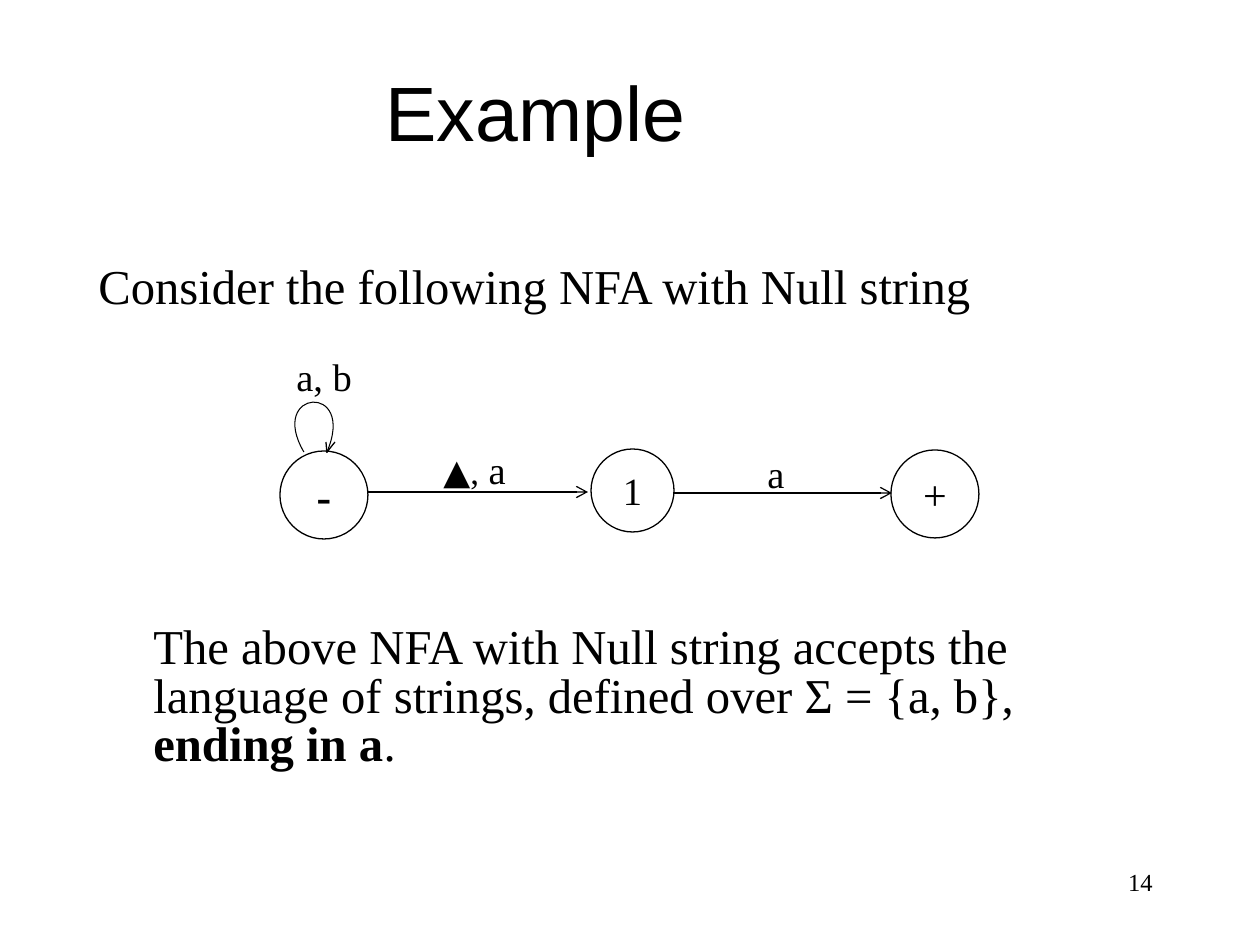
import pptx
import pptx.util
import pptx.oxml
import pptx.oxml.ns
import pptx.dml.color
import pptx.enum.shapes
import pptx.enum.text
import lxml.etree

PX = 914400 / 126
INK = {"black": "000000", "white": "FFFFFF"}
SERIF = "Times New Roman"
black = pptx.dml.color.RGBColor.from_string(INK["black"])
white = pptx.dml.color.RGBColor.from_string(INK["white"])
qn = pptx.oxml.ns.qn
Pt = pptx.util.Pt
ALIGN = pptx.enum.text.PP_ALIGN
MIDDLE = pptx.enum.text.MSO_ANCHOR.MIDDLE

deck = pptx.Presentation()
deck.slide_width, deck.slide_height = round(1260 * PX), round(945 * PX)
slide = deck.slides.add_slide(deck.slide_layouts[6])
shapes = slide.shapes


def write(para, runs, size, face=SERIF, align=ALIGN.LEFT):
    """Fill a paragraph with runs that share one font."""
    para.alignment = align
    for text in runs:
        para.add_run().text = text
    para.font.size, para.font.name = Pt(size), face
    para.font.color.rgb = black


def draw(x1, y1, x2, y2, arrow=False):
    """Draw a thin straight line, with an open arrowhead if asked."""
    ends = [round(n * PX) for n in (x1, y1, x2, y2)]
    line = shapes.add_connector(pptx.enum.shapes.MSO_CONNECTOR.STRAIGHT, *ends)
    line.line.color.rgb, line.line.width = black, Pt(0.75)
    if arrow:
        lxml.etree.SubElement(line.line._get_or_add_ln(), qn("a:tailEnd"), type="arrow")
    lxml.etree.SubElement(line._element.spPr, qn("a:effectLst"))


# Title, page number and edge labels
labels = [
    (0, 32, 1071, 158, ["Example"], 44, "Arial", ALIGN.CENTER),
    (903, 861, 262, 63, ["14"], 14, SERIF, ALIGN.RIGHT),
    (284, 347, 123, 84, ["a, b"], 22, SERIF, ALIGN.LEFT),
    (431, 440, 147, 60, ["▲", ",", " a"], 22, SERIF, ALIGN.LEFT),
    (755, 444, 52, 50, ["a"], 22, SERIF, ALIGN.LEFT),
]
for x, y, w, h, runs, size, face, align in labels:
    box = shapes.add_textbox(*[round(n * PX) for n in (x, y, w, h)])
    frame = box.text_frame
    frame.word_wrap = True
    write(frame.paragraphs[0], runs, size, face, align)
    if face == "Arial":
        frame.vertical_anchor = MIDDLE
    if runs[0] == "▲":
        mark, comma = frame.paragraphs[0].runs[:2]
        mark.font.name = "Cambria"
        mark.font.size = comma.font.size = Pt(20)

# Body text above and below the diagram
body = shapes.add_textbox(*[round(n * PX) for n in (39, 260, 1110, 574)]).text_frame
body.word_wrap = True
intro, result = body.paragraphs[0], body.add_paragraph()
texts = [
    (intro, 47, ["Consider the following NFA with Null string"]),
    (result, 102, ["The above NFA with Null string accepts the language of strings, "
                   "defined over Σ = {a, b}, ", "ending in a", "."]),
]
for para, indent, runs in texts:
    para._p.get_or_add_pPr().set("marL", str(round(indent * PX)))
    para.line_spacing = 0.83
    write(para, runs, 27.8)
result.space_before = Pt(178)
result.runs[1].font.bold = True

# States
states = [(280, 451, 88, "-", 25), (591, 449, 83, "1", 22), (891, 450, 88, "+", 24)]
for x, y, d, text, size in states:
    state = shapes.add_shape(pptx.enum.shapes.MSO_SHAPE.OVAL,
                             *[round(n * PX) for n in (x, y, d, d)])
    state.shadow.inherit = False
    state.fill.solid()
    state.fill.fore_color.rgb = white
    state.line.color.rgb, state.line.width = black, Pt(0.75)
    frame = state.text_frame
    frame.margin_left = frame.margin_right = frame.margin_top = frame.margin_bottom = 0
    frame.word_wrap, frame.vertical_anchor = False, MIDDLE
    write(frame.paragraphs[0], [text], size, align=ALIGN.CENTER)
    frame.paragraphs[0].font.bold = text == "-"

# Edges between states
draw(368, 492, 588, 492, arrow=True)
draw(673, 493, 892, 493, arrow=True)

# Loop on the start state: one cubic curve and two strokes for its head
pen = shapes.build_freeform(304, 452, scale=PX)
pen.add_line_segments([(267, 389), (357, 382), (327, 452)], close=False)
loop = pen.convert_to_shape()
loop.shadow.inherit = False
loop.fill.background()
loop.line.color.rgb, loop.line.width = black, Pt(0.6)
track = next(loop._element.iter(qn("a:path")))
curve = lxml.etree.SubElement(track, qn("a:cubicBezTo"))
for step in track.findall(qn("a:lnTo")):
    curve.append(step[0])
    track.remove(step)
draw(327, 452, 335, 442)
draw(326, 442, 327, 453)

deck.save("out.pptx")
